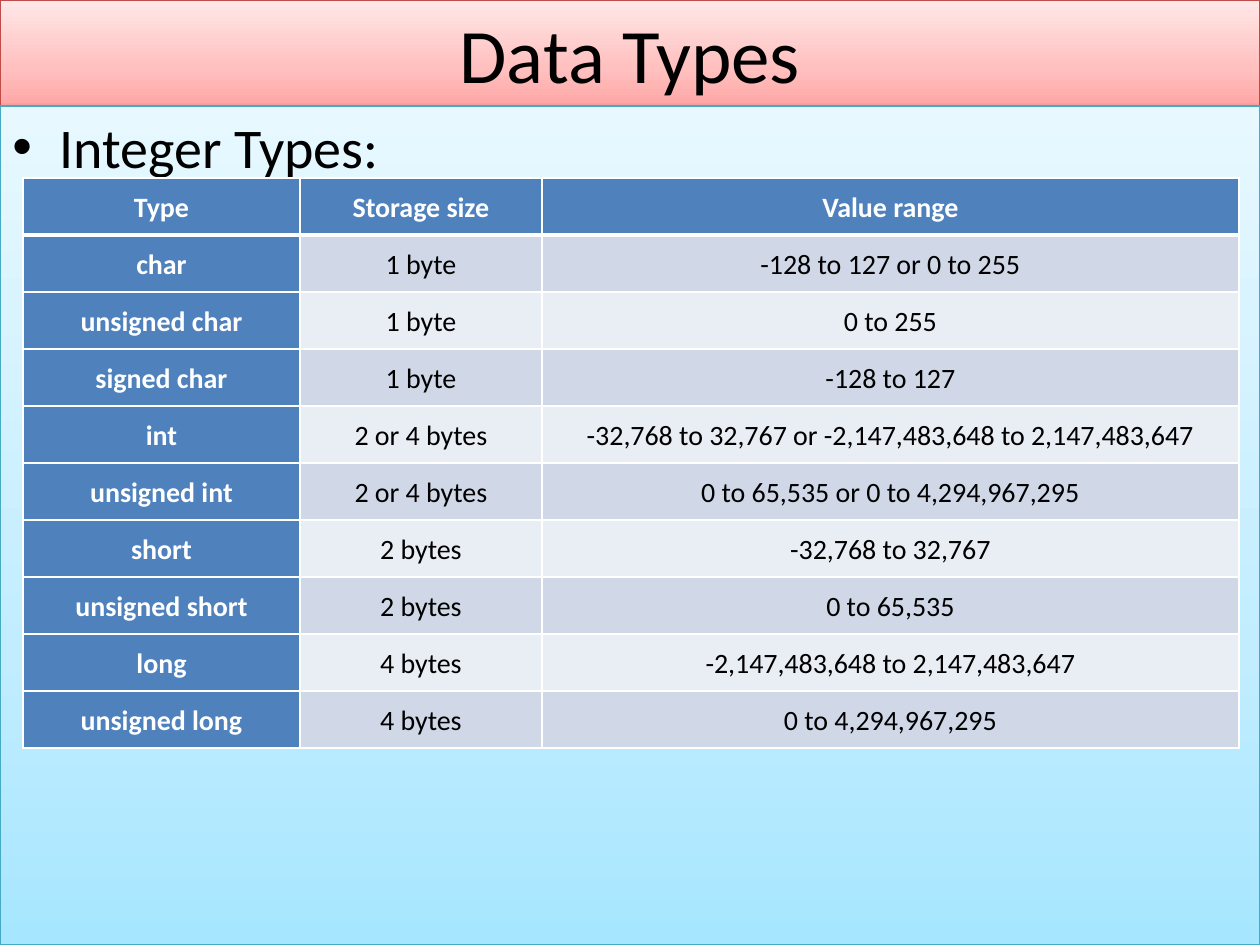
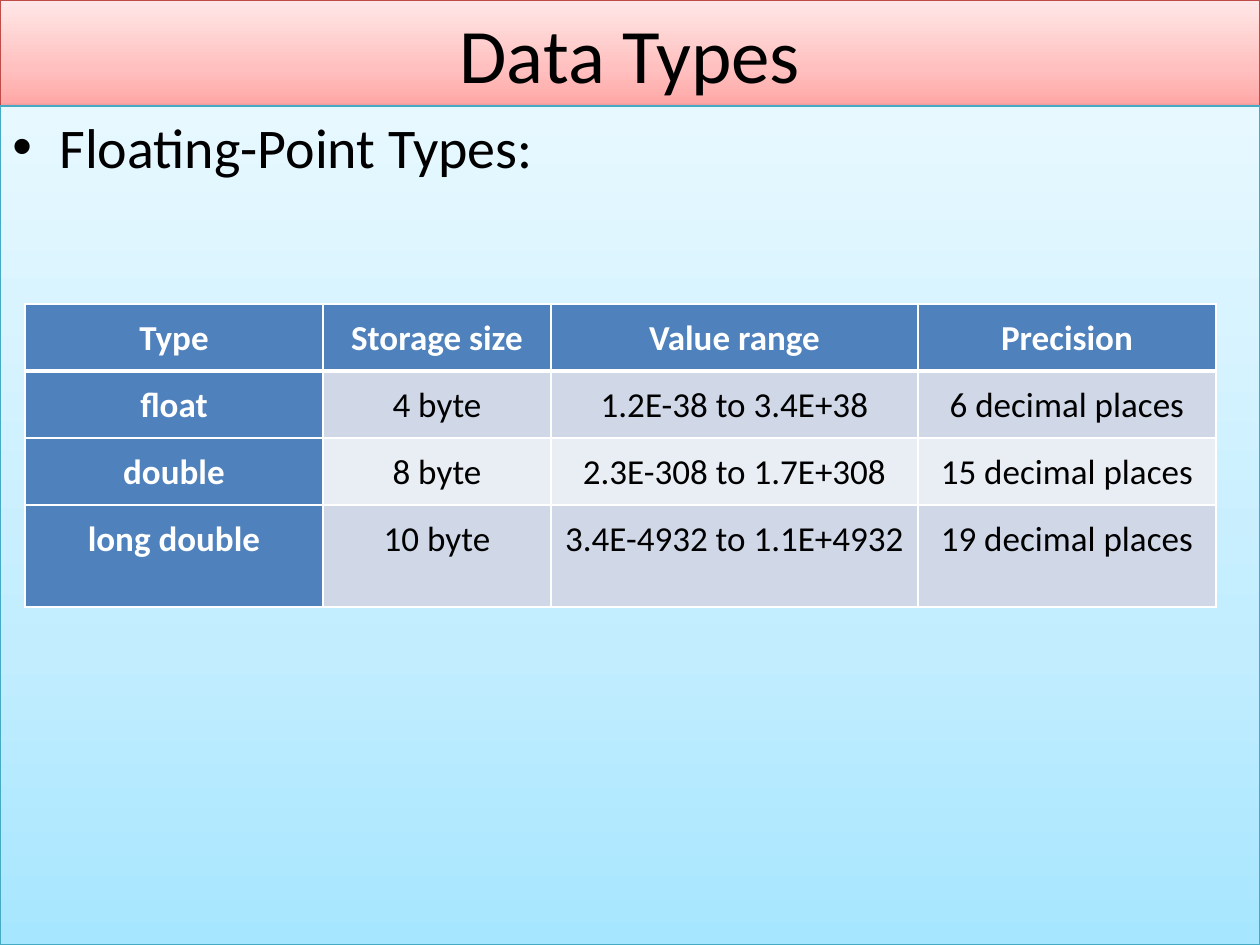
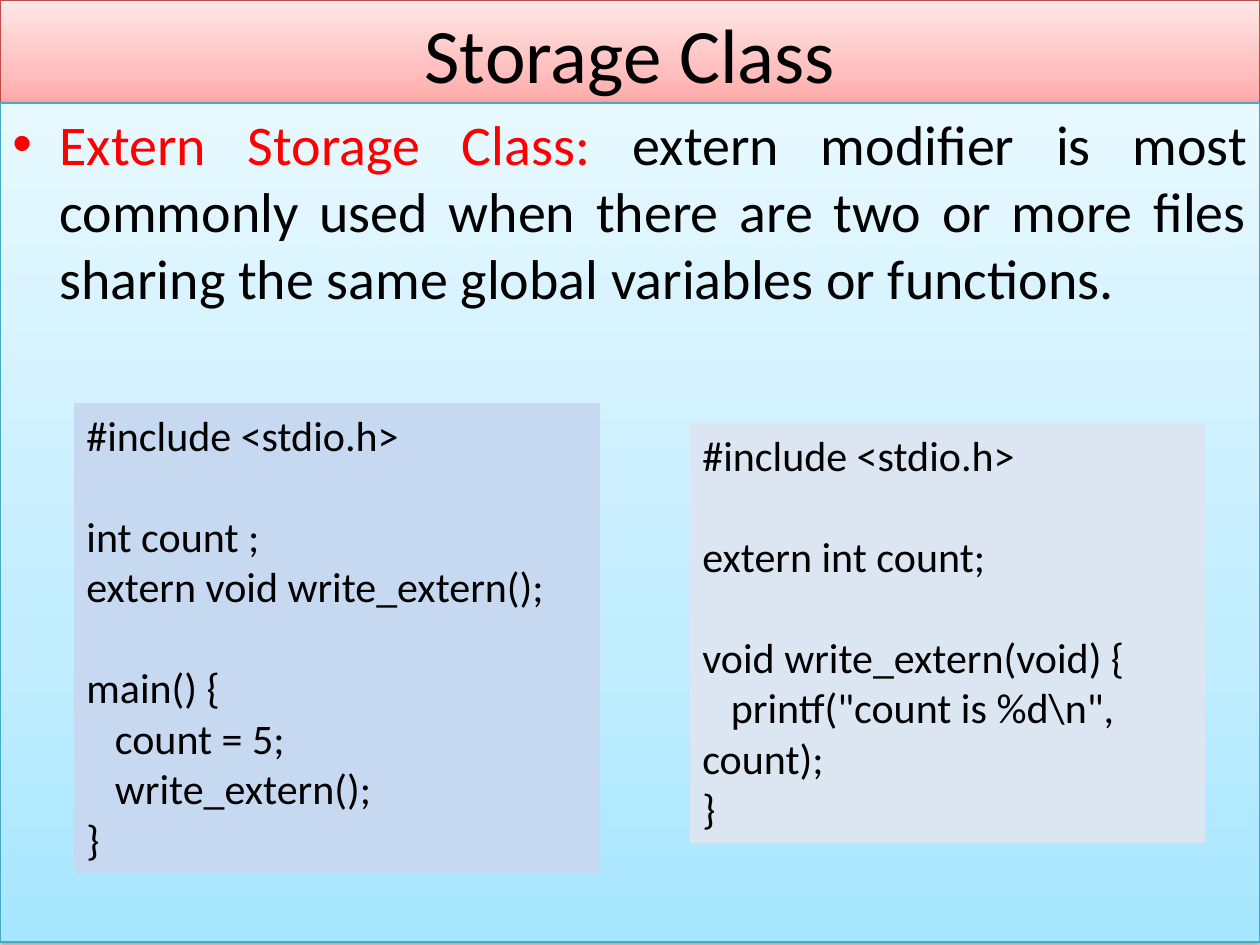
import copy

import pptx
import pptx.dml.color
import pptx.enum.shapes
import pptx.enum.text
import pptx.oxml
import pptx.oxml.ns
import pptx.util

ALIGN = pptx.enum.text.PP_ALIGN
ANCHOR = pptx.enum.text.MSO_ANCHOR
NS = pptx.oxml.ns.nsdecls("a")
FONT = "Calibri"
BLACK, WHITE, RED = "000000", "FFFFFF", "FF0000"
HEADER = "4F81BD"
ROW_BANDS = ("D0D8E8", "E9EDF4")
TITLE_STOPS = ("FFA6A5", "FFC0BF", "FFE7E7")
BODY_STOPS = ("A7E6FF", "C1EDFF", "E7F8FF")
STOP_POSITIONS = (0, 0.35, 1)
TITLE_HEIGHT = 106
BODY_HEIGHT = 839
WIDTH, HEIGHT = 1260, 945

INTEGER_ROWS = [
    ("Type", "Storage size", "Value range"),
    ("char", "1 byte", "-128 to 127 or 0 to 255"),
    ("unsigned char", "1 byte", "0 to 255"),
    ("signed char", "1 byte", "-128 to 127"),
    ("int", "2 or 4 bytes", "-32,768 to 32,767 or -2,147,483,648 to 2,147,483,647"),
    ("unsigned int", "2 or 4 bytes", "0 to 65,535 or 0 to 4,294,967,295"),
    ("short", "2 bytes", "-32,768 to 32,767"),
    ("unsigned short", "2 bytes", "0 to 65,535"),
    ("long", "4 bytes", "-2,147,483,648 to 2,147,483,647"),
    ("unsigned long", "4 bytes", "0 to 4,294,967,295"),
]
FLOAT_ROWS = [
    ("Type", "Storage size", "Value range", "Precision"),
    ("float", "4 byte", "1.2E-38 to 3.4E+38", "6 decimal places"),
    ("double", "8 byte", "2.3E-308 to 1.7E+308", "15 decimal places"),
    ("long double", "10 byte", "3.4E-4932 to 1.1E+4932", "19 decimal places"),
]
MAIN_CODE = """#include <stdio.h>

int count ;
extern void write_extern();

main() {
   count = 5;
   write_extern();
}"""
WRITER_CODE = r"""#include <stdio.h>

extern int count;

void write_extern(void) {
   printf("count is %d\n", count);
}"""


def px(length):
    return round(length * 914400 / 126)


def color(value):
    return pptx.dml.color.RGBColor.from_string(value)


class Deck:
    """Builds slides in one shared style, on the current slide."""

    def __init__(self):
        self.deck = pptx.Presentation()
        self.deck.slide_width, self.deck.slide_height = px(WIDTH), px(HEIGHT)
        self.slide = None

    def add_slide(self, title):
        self.slide = self.deck.slides.add_slide(self.deck.slide_layouts[6])
        frame = self.panel(0, TITLE_HEIGHT, TITLE_STOPS, "BF4C48")
        frame.text = title
        frame.vertical_anchor = ANCHOR.MIDDLE
        frame.paragraphs[0].alignment = ALIGN.CENTER
        self.style(frame.paragraphs[0], 44)

    def style(self, paragraph, size, ink=BLACK, bold=False):
        for run in paragraph.runs:
            run.font.name = FONT
            run.font.size = pptx.util.Pt(size)
            run.font.bold = bold
            run.font.color.rgb = color(ink)

    def panel(self, top, height, stops, outline):
        panel = self.slide.shapes.add_shape(
            pptx.enum.shapes.MSO_SHAPE.RECTANGLE, 0, px(top), px(WIDTH), px(height))
        panel.fill.gradient()
        panel.fill.gradient_angle = 90
        stop_list = panel.fill._xPr.find(".//" + pptx.oxml.ns.qn("a:gsLst"))
        stop_list.append(copy.deepcopy(stop_list[0]))
        for stop, position, value in zip(panel.fill.gradient_stops, STOP_POSITIONS, stops):
            stop.position = position
            stop.color.rgb = color(value)
        panel.line.color.rgb = color(outline)
        panel.line.width = pptx.util.Pt(0.75)
        panel.shadow.inherit = False
        effects = panel._element.spPr.find(pptx.oxml.ns.qn("a:effectLst"))
        effects.append(pptx.oxml.parse_xml(
            f'<a:outerShdw {NS} blurRad="40000" dist="20000" dir="5400000" rotWithShape="0">'
            '<a:srgbClr val="000000"><a:alpha val="38000"/></a:srgbClr></a:outerShdw>'))
        panel.text_frame.word_wrap = True
        return panel.text_frame

    def body(self, heading, detail="", top=TITLE_HEIGHT):
        frame = self.panel(top, BODY_HEIGHT, BODY_STOPS, "46AAC5")
        frame.vertical_anchor = ANCHOR.TOP
        point = frame.paragraphs[0]
        point.text = heading
        point.alignment = ALIGN.JUSTIFY if detail else ALIGN.LEFT
        properties = point._p.get_or_add_pPr()
        properties.set("marL", str(px(47)))
        properties.set("indent", str(-px(47)))
        for bullet in ('buFont {} typeface="Arial"', 'buChar {} char="•"'):
            properties.append(pptx.oxml.parse_xml(f"<a:{bullet.format(NS)}/>"))
        self.style(point, 32, RED if detail else BLACK)
        if detail:
            explanation = point.add_run()
            explanation.text = detail
            explanation.font.name = FONT
            explanation.font.size = pptx.util.Pt(32)
            explanation.font.color.rgb = color(BLACK)

    def table(self, left, top, widths, heights, rows, size):
        table = self.slide.shapes.add_table(
            len(rows), len(widths), px(left), px(top), px(sum(widths)), px(sum(heights))).table
        for column, width in zip(table.columns, widths):
            column.width = px(width)
        for r, (values, height) in enumerate(zip(rows, heights)):
            table.rows[r].height = px(height)
            for c, value in enumerate(values):
                self.cell(table.cell(r, c), value, r, c, size)

    def cell(self, cell, value, row, column, size):
        heading = row == 0 or column == 0
        cell.text = value
        cell.margin_left = cell.margin_right = cell.margin_top = cell.margin_bottom = px(10)
        paragraph = cell.text_frame.paragraphs[0]
        paragraph.alignment = ALIGN.CENTER
        paragraph.line_spacing = 1.07
        self.style(paragraph, size, WHITE if heading else BLACK, heading)
        properties = cell._tc.get_or_add_tcPr()
        for side, header_row in (("L", None), ("R", None), ("T", 1), ("B", 0)):
            width = pptx.util.Pt(3 if row == header_row else 1)
            properties.append(pptx.oxml.parse_xml(
                f'<a:ln{side} {NS} w="{width}"><a:solidFill>'
                f'<a:srgbClr val="{WHITE}"/></a:solidFill></a:ln{side}>'))
        cell.fill.solid()
        cell.fill.fore_color.rgb = color(HEADER if heading else ROW_BANDS[(row - 1) % 2])

    def code(self, left, top, width, height, source, fill):
        box = self.slide.shapes.add_textbox(px(left), px(top), px(width), px(height))
        box.fill.solid()
        box.fill.fore_color.rgb = color(fill)
        frame = box.text_frame
        frame.word_wrap = True
        blocks = [block.split("\n") for block in source.split("\n\n")]
        frame.text = "\n".join(line for block in blocks for line in block)
        starts = {sum(map(len, blocks[:i])) for i in range(1, len(blocks))}
        for number, paragraph in enumerate(frame.paragraphs):
            if number in starts:
                paragraph.space_before = pptx.util.Pt(29)
            self.style(paragraph, 24)


def main():
    deck = Deck()

    deck.add_slide("Data Types")
    deck.body("Integer Types:")
    deck.table(23, 178, (277, 242, 697), [57] * len(INTEGER_ROWS), INTEGER_ROWS, 16)

    deck.add_slide("Data Types")
    deck.body("Floating-Point Types:")
    deck.table(25, 304, (298, 228, 367, 298), (67, 67, 67, 102), FLOAT_ROWS, 20)

    deck.add_slide("Storage Class")
    deck.body("Extern Storage Class: ",
              "extern modifier is most commonly used when there are two or more files "
              "sharing the same global variables or functions.", top=103)
    deck.code(74, 403, 526, 471, MAIN_CODE, "C6D9F1")
    deck.code(690, 423, 515, 420, WRITER_CODE, "DCE6F2")

    deck.deck.save("out.pptx")


if __name__ == "__main__":
    main()
